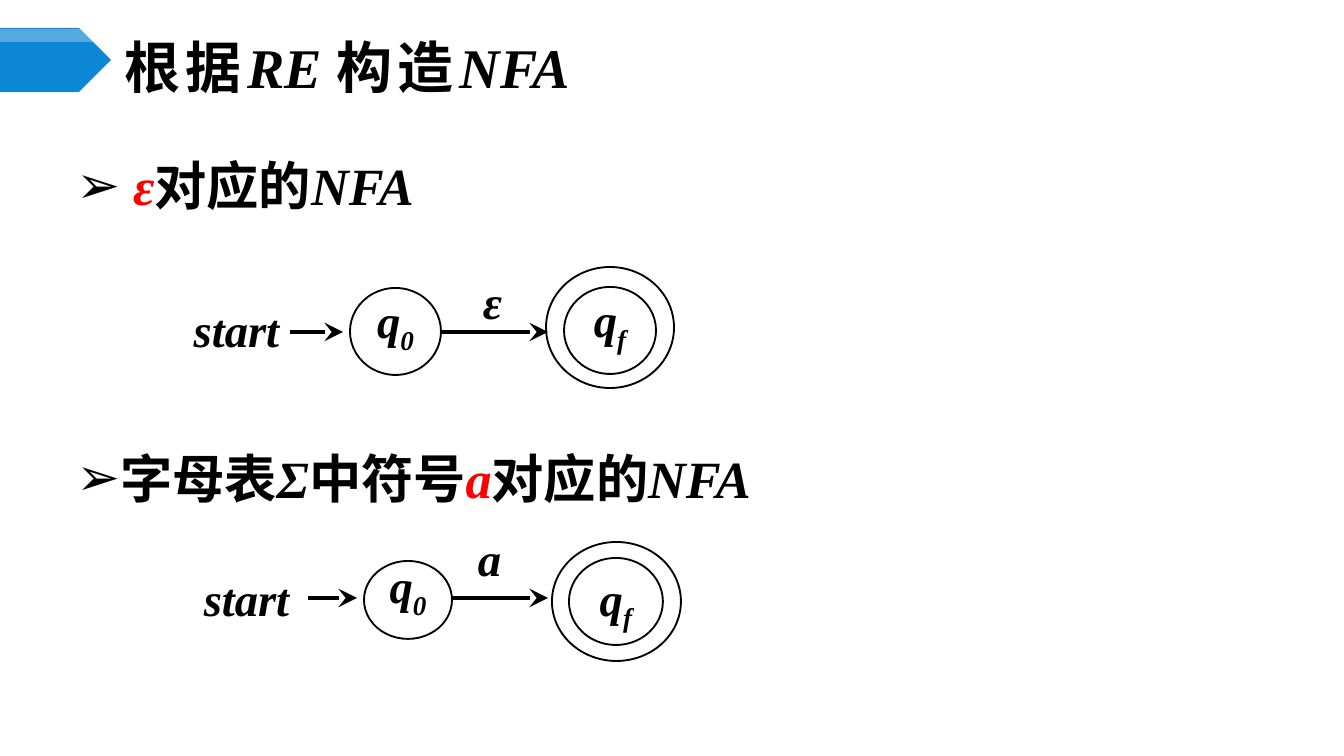
from lxml.etree import SubElement
from pptx import Presentation
from pptx.dml.color import RGBColor
from pptx.enum.shapes import MSO_CONNECTOR, MSO_SHAPE
from pptx.enum.text import MSO_ANCHOR, MSO_AUTO_SIZE, PP_ALIGN
from pptx.oxml.ns import qn
from pptx.util import Pt

PX = 914400 / 134.4
THEME = {
    "ink": RGBColor(0, 0, 0),
    "red": RGBColor(255, 0, 0),
    "blue": RGBColor(0x0B, 0x87, 0xD6),
    "white": RGBColor(255, 255, 255),
    "latin": "Times New Roman",
    "han": "Noto Sans CJK SC",
    "title": Pt(30),
    "body": Pt(28),
    "label": Pt(25),
    "thin": Pt(1),
    "thick": Pt(2),
}


def px(*nums):
    return [round(n * PX) for n in nums]


def write(para, text, size, hue="ink", face="latin", slant=True):
    run = para.add_run()
    run.text = text
    look = {"name": THEME[face], "size": THEME[size], "bold": True, "italic": slant}
    for key, val in look.items():
        setattr(run.font, key, val)
    run.font.color.rgb = THEME[hue]
    props = run.font._element
    SubElement(props, qn("a:ea")).set("typeface", THEME["han"])
    return props


deck = Presentation()
deck.slide_width, deck.slide_height = px(1344, 756)
slide = deck.slides.add_slide(deck.slide_layouts[1])
title, body = slide.placeholders

for holder, spot, anchor in [
    (title, (111, 40, 1165, 52), MSO_ANCHOR.MIDDLE),
    (body, (63, 147, 1132, 474), MSO_ANCHOR.TOP),
]:
    holder.left, holder.top, holder.width, holder.height = px(*spot)
    form = {"word_wrap": True, "auto_size": MSO_AUTO_SIZE.NONE, "vertical_anchor": anchor}
    for key, val in form.items():
        setattr(holder.text_frame, key, val)

para = title.text_frame.paragraphs[0]
para.alignment = PP_ALIGN.LEFT
for text, face in [("根据", "han"), ("RE ", "latin"), ("构造", "han"), ("NFA", "latin")]:
    props = write(para, text, "title", face=face, slant=face == "latin")
    props.set("spc", "300" if face == "han" else "0")

points = [
    (0, [(" ", "ink", False), ("ε", "red", True), ("对应的", "ink", False), ("NFA", "ink", True)]),
    (123, [("字母表", "ink", False), ("Σ", "ink", True), ("中符号", "ink", False),
           ("a", "red", True), ("对应的", "ink", False), ("NFA", "ink", True)]),
]
frame = body.text_frame
for row, (gap, parts) in enumerate(points):
    para = frame.add_paragraph() if row else frame.paragraphs[0]
    para.space_before = Pt(gap)
    props = para._p.get_or_add_pPr()
    indent = px(40)[0]
    props.set("marL", str(indent))
    props.set("indent", str(-indent))
    SubElement(props, qn("a:buChar")).set("char", "➢")
    for text, hue, slant in parts:
        write(para, text, "body", hue, slant=slant)

LOW, MID = MSO_ANCHOR.BOTTOM, MSO_ANCHOR.MIDDLE
graphs = [
    {
        "nodes": [("q", "0", (350, 288, 91, 87), LOW), ("q", "f", (564, 287, 92, 87), LOW)],
        "ring": (546, 267, 128, 121),
        "words": [("start", (183, 294, 107, 70)), ("ε", (439, 266, 107, 70))],
        "edges": [(290, 343), (441, 548)],
        "line": 332,
    },
    {
        "nodes": [("q", "0", (364, 561, 88, 78), LOW), ("q", "f", (569, 558, 94, 87), MID)],
        "ring": (552, 542, 129, 119),
        "words": [("start", (198, 575, 97, 46)), ("a", (441, 535, 97, 46))],
        "edges": [(308, 357), (452, 548)],
        "line": 598,
    },
]
for graph in graphs:
    group = slide.shapes.add_group_shape().shapes
    labels = []
    for text, sub, spot, anchor in graph["nodes"] + [("", "", graph["ring"], MID)]:
        node = group.add_shape(MSO_SHAPE.OVAL, *px(*spot))
        node.shadow.inherit = False
        node.line.color.rgb = THEME["ink"]
        node.line.width = THEME["thin"]
        if text:
            node.fill.solid()
            node.fill.fore_color.rgb = THEME["white"]
            labels.append((node, text, sub, anchor))
        else:
            node.fill.background()
    for text, spot in graph["words"]:
        box = group.add_textbox(*px(*spot))
        box.text_frame.margin_left = box.text_frame.margin_right = 0
        labels.append((box, text, "", MID))
    for shape, text, sub, anchor in labels:
        frame = shape.text_frame
        frame.word_wrap = False
        frame.vertical_anchor = anchor
        para = frame.paragraphs[0]
        para.alignment = PP_ALIGN.CENTER
        write(para, text, "label")
        if sub:
            write(para, sub, "label").set("baseline", "-25000")
    for start, end in graph["edges"]:
        edge = group.add_connector(
            MSO_CONNECTOR.STRAIGHT, *px(start, graph["line"], end, graph["line"])
        )
        edge.line.color.rgb = THEME["ink"]
        edge.line.width = THEME["thick"]
        tip = SubElement(edge.line._get_or_add_ln(), qn("a:tailEnd"))
        for key, val in {"type": "stealth", "w": "lg", "len": "lg"}.items():
            tip.set(key, val)
        SubElement(edge._element.spPr, qn("a:effectLst"))

badge = slide.shapes.add_group_shape().shapes
for spot, hue, alpha in [((0, 28, 111, 64), "blue", 100), ((0, 29, 111, 13), "white", 30)]:
    plate = badge.add_shape(MSO_SHAPE.PENTAGON, *px(*spot))
    plate.shadow.inherit = False
    plate.line.fill.background()
    plate.fill.solid()
    plate.fill.fore_color.rgb = THEME[hue]
    if alpha < 100:
        tone = plate._element.spPr.find(qn("a:solidFill"))[0]
        SubElement(tone, qn("a:alpha")).set("val", str(alpha * 1000))

deck.save("out.pptx")
